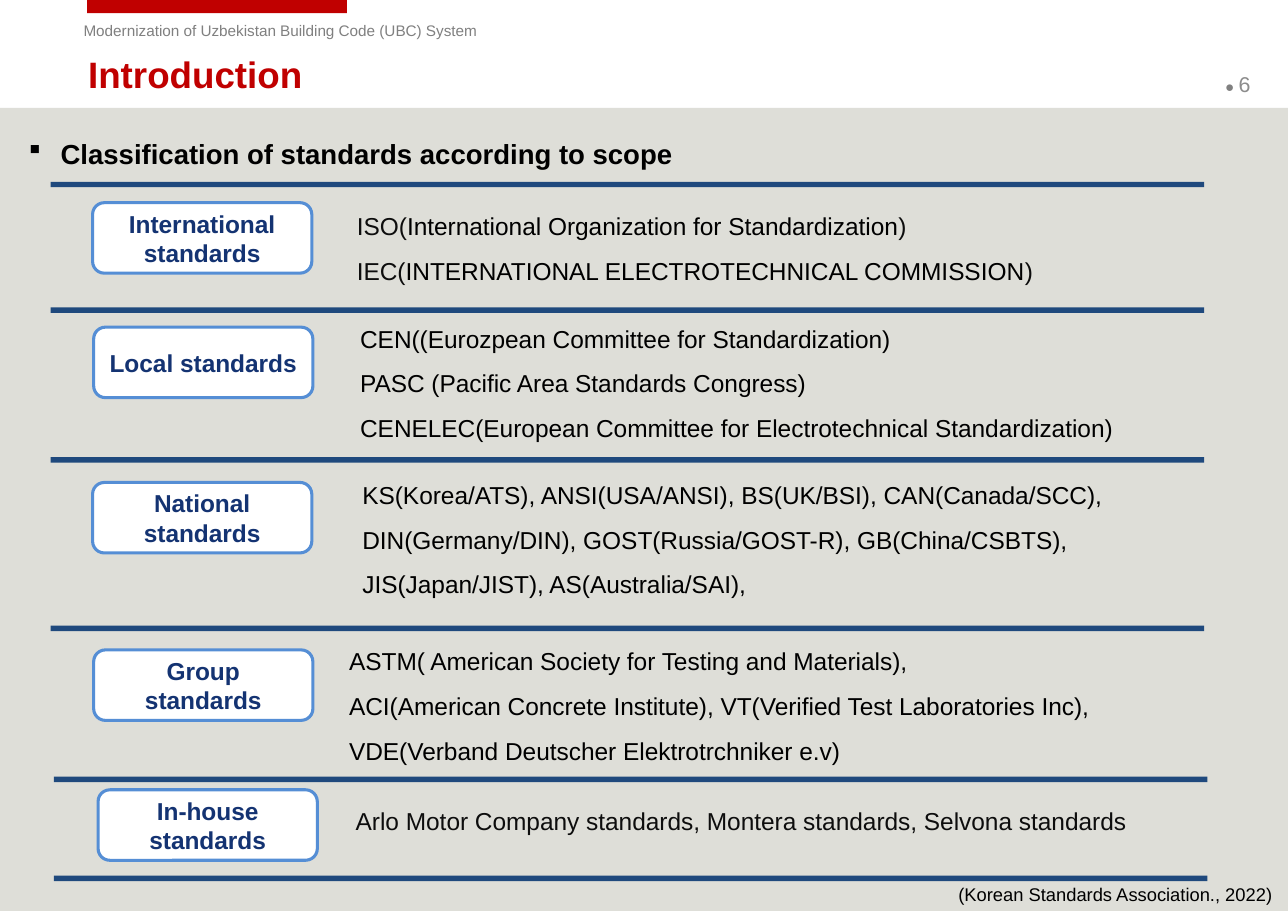
from lxml import etree
from pptx import Presentation
from pptx.dml.color import RGBColor
from pptx.enum import shapes, text
from pptx.oxml.ns import qn
from pptx.util import Inches, Pt

GREY = RGBColor(0x80, 0x80, 0x80)
PALE = RGBColor(0x8C, 0x8C, 0x8C)
RED = RGBColor(0xC0, 0x00, 0x00)
PANEL = RGBColor(0xDE, 0xDE, 0xD8)
WHITE = RGBColor(0xFF, 0xFF, 0xFF)
BLACK = RGBColor(0x00, 0x00, 0x00)
INK = RGBColor(0x0D, 0x0D, 0x0D)
NAVY = RGBColor(0x14, 0x33, 0x72)
BLUE = RGBColor(0x55, 0x8E, 0xD5)
RULE = RGBColor(0x1F, 0x49, 0x7D)

WIDE, HIGH = 11.69, 8.27
LOOSE = (0.11, 0.06)

# label, label place, text place and width, text colour, lines
# a line given as a tuple alternates between INK and BLACK
GROUPS = [
    ("International standards", (0.84, 1.84), (3.14, 1.87, 7.79), INK, [
        ("ISO(", "International Organization for Standardization", ")"),
        ("IEC(", "INTERNATIONAL ELECTROTECHNICAL COMMISSION", ")")]),
    ("Local standards", (0.85, 2.97), (3.17, 2.89, 7.78), BLACK, [
        "CEN((Eurozpean Committee for Standardization)",
        "PASC (Pacific Area Standards Congress)",
        "CENELEC(European Committee for Electrotechnical Standardization)"]),
    ("National standards", (0.84, 4.38), (3.19, 4.31, 7.92), BLACK, [
        "KS(Korea/ATS), ANSI(USA/ANSI), BS(UK/BSI), CAN(Canada/SCC),",
        "DIN(Germany/DIN), GOST(Russia/GOST-R), GB(China/CSBTS),",
        "JIS(Japan/JIST), AS(Australia/SAI),"]),
    ("Group standards", (0.85, 5.9), (3.07, 5.82, 7.92), BLACK, [
        "ASTM( American Society for Testing and Materials),",
        "ACI(American Concrete Institute), VT(Verified Test Laboratories Inc),",
        "VDE(Verband Deutscher Elektrotrchniker e.v)"]),
    ("In-house standards", (0.89, 7.17), (3.13, 7.27, 7.79), INK, [
        "Arlo Motor Company standards, Montera standards, Selvona standards"]),
]
RULES = [(0.46, 1.65), (0.46, 2.79), (0.46, 4.15), (0.46, 5.68),
         (0.49, 7.05), (0.49, 7.95)]


class Page:
    face = "Arial"

    def __init__(self, deck):
        self.slide = deck.slides.add_slide(deck.slide_layouts[6])

    def block(self, box, fill, line=None, kind=shapes.MSO_SHAPE.RECTANGLE):
        shape = self.slide.shapes.add_shape(kind, *map(Inches, box))
        shape.shadow.inherit = False
        shape.fill.solid()
        shape.fill.fore_color.rgb = fill
        if line is None:
            shape.line.fill.background()
        else:
            shape.line.color.rgb = line
            shape.line.width = Pt(2)
        return shape

    def style(self, font, size, color, bold=False):
        font.name, font.size, font.bold = self.face, Pt(size), bold
        font.color.rgb = color

    def label(self, words, place):
        shape = self.block((*place, 1.99, 0.64), WHITE, BLUE,
                           shapes.MSO_SHAPE.ROUNDED_RECTANGLE)
        frame = shape.text_frame
        frame.word_wrap = True
        frame.vertical_anchor = text.MSO_ANCHOR.MIDDLE
        para = frame.paragraphs[0]
        para.text = words
        para.alignment = text.PP_ALIGN.CENTER
        self.style(para.font, 16, NAVY, True)

    def words(self, box, lines, size, color, bold=False, pad=(0.1, 0.05),
              middle=False):
        """Add a text box and return its paragraphs."""
        frame = self.slide.shapes.add_textbox(*map(Inches, box)).text_frame
        frame.word_wrap = True
        frame.margin_left = frame.margin_right = Inches(pad[0])
        frame.margin_top = frame.margin_bottom = Inches(pad[1])
        if middle:
            frame.vertical_anchor = text.MSO_ANCHOR.MIDDLE
        for i, line in enumerate(lines):
            para = frame.add_paragraph() if i else frame.paragraphs[0]
            if i:
                para.space_before = Pt(10)
            if isinstance(line, str):
                para.text = line
                self.style(para.font, size, color, bold)
                continue
            for j, part in enumerate(line):
                run = para.add_run()
                run.text = part
                self.style(run.font, size, BLACK if j % 2 else color, bold)
        return frame.paragraphs

    def bullet(self, para, sign, face, indent):
        props = para._p.get_or_add_pPr()
        props.set("marL", str(Inches(indent)))
        props.set("indent", str(-Inches(indent)))
        for mark in (etree.Element(qn("a:buFont"), typeface=face),
                     etree.Element(qn("a:buChar"), char=sign)):
            props.insert_element_before(mark, "a:tabLst", "a:defRPr",
                                        "a:extLst")


def main():
    deck = Presentation()
    deck.slide_width, deck.slide_height = Inches(WIDE), Inches(HIGH)
    page = Page(deck)

    page.block((0, 0.98, WIDE, HIGH - 0.98), PANEL)
    page.block((0.79, 0, 2.36, 0.12), RED)
    page.words((0.66, 0.14, 4.68, 0.27),
               ["Modernization of Uzbekistan Building Code (UBC) System"],
               10, GREY)
    number = page.words((11.01, 0.54, 0.69, 0.44), [("● ", "6")],
                        10, GREY, pad=LOOSE, middle=True)[0]
    page.style(number.runs[1].font, 14, PALE)
    page.words((0.69, 0.47, 10.42, 0.4), ["Introduction"], 24, RED, True,
               LOOSE, True)
    head = page.words((0.15, 1.18, 11.43, 0.45),
                      ["Classification of standards according to scope"],
                      18, BLACK, True, LOOSE)[0]
    page.bullet(head, "§", "Wingdings", 0.29)

    for left, top in RULES:
        page.block((left, top, 10.47, 0.05), RULE)
    for name, place, (left, top, width), color, lines in GROUPS:
        page.label(name, place)
        high = 0.41 * len(lines) - 0.04
        page.words((left, top, width, high), lines, 16, color)
    page.words((8.6, 7.97, 3.1, 0.3),
               ["(Korean Standards Association., 2022)"], 12, BLACK)
    deck.save("out.pptx")


if __name__ == "__main__":
    main()
